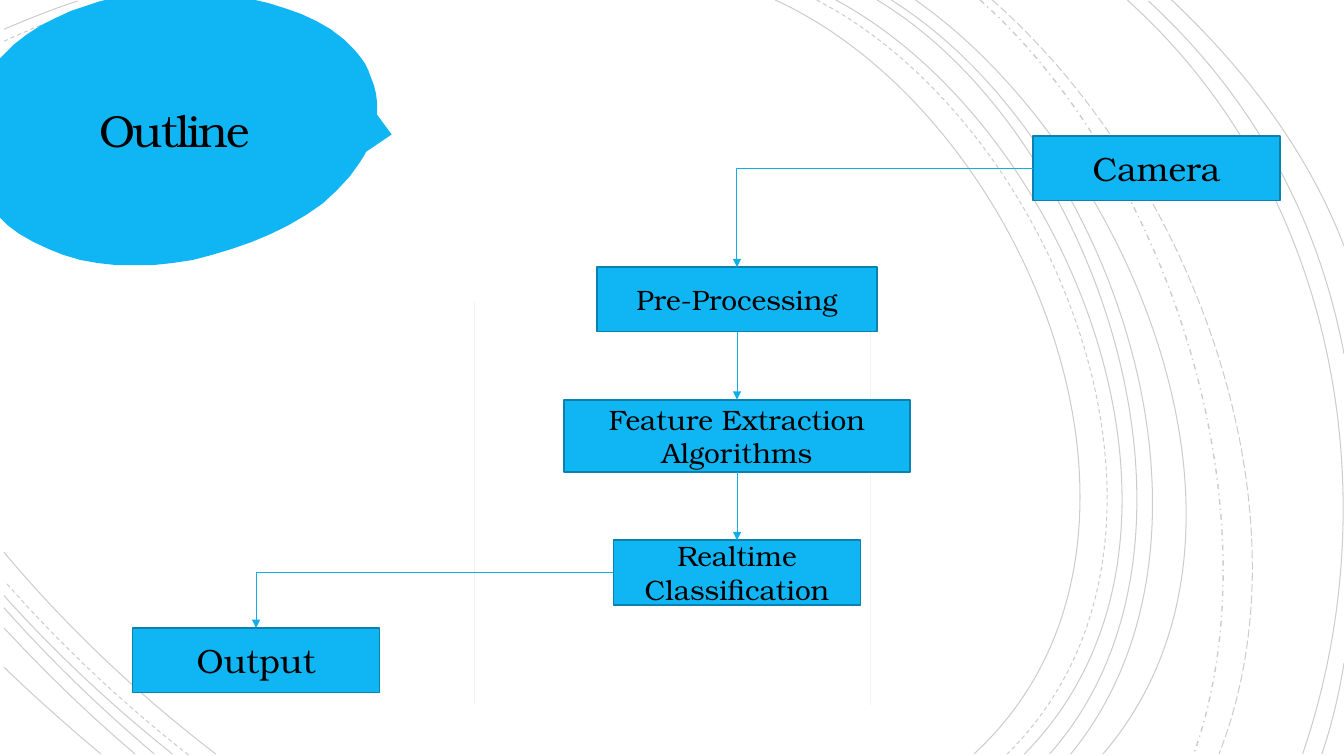
from lxml.etree import SubElement
from pptx import Presentation
from pptx.dml.color import RGBColor
from pptx.enum.dml import MSO_LINE as DASH
from pptx.enum.shapes import MSO_CONNECTOR as CONN, MSO_SHAPE as SHAPE
from pptx.enum.text import MSO_ANCHOR as ANCHOR, PP_ALIGN as ALIGN
from pptx.oxml.ns import qn
from pptx.util import Inches, Pt

# The slide is a grid of one-inch cells
COLS, ROWS = 13.33, 7.5
FONT = "TeX Gyre Bonum"
BLUE, EDGE, ARROW, GUIDE, BLACK = "10B6F4", "0B81AD", "0FAEE9", "F2F2F2", "000000"
TOP, LEFT, BOTTOM, RIGHT = range(4)  # connection sites of a rectangle

# Background arcs: start, two control points, end
SOLID_ARCS = [
    (7.69, 0, 10.2, 1.15, 11.92, 5.4, 9.66, 7.48),
    (0.04, 0.62, 0.57, 0.34, 1.17, 0.16, 1.73, 0.01),
    (2.14, 7.48, 1.38, 6.9, 0.66, 6.22, 0.04, 5.48),
    (8.29, 0, 10.65, 1.27, 12.25, 5.37, 10.16, 7.48),
    (0.04, 0.29, 0.28, 0.19, 0.52, 0.09, 0.77, 0.01),
    (1.71, 7.48, 1.12, 7.01, 0.55, 6.48, 0.04, 5.91),
    (8.7, 0, 10.91, 1.33, 12.25, 5.41, 10.41, 7.48),
    (1.53, 7.48, 1.01, 7.04, 0.5, 6.55, 0.04, 6.03),
    (8.84, 0, 11.04, 1.38, 12.38, 5.33, 10.62, 7.48),
    (1.34, 7.48, 0.88, 7.09, 0.45, 6.67, 0.04, 6.23),
    (9.08, 0, 11.18, 1.47, 12.82, 5.29, 10.94, 7.48),
    (1, 7.48, 0.68, 7.21, 0.35, 6.92, 0.04, 6.62),
    (11.18, 0, 13.24, 1.85, 13.8, 4.9, 12.92, 7.48),
    (11.39, 0.01, 12.42, 0.96, 13.07, 2.14, 13.33, 3.51),
    (13.33, 6.58, 13.28, 6.89, 13.21, 7.19, 13.11, 7.48),
    (11.62, 0, 12.35, 0.69, 12.97, 1.5, 13.33, 2.44),
]
DASHED_ARCS = [
    (8.1, 0, 10.5, 1.25, 12.12, 5.37, 9.99, 7.48),
    (0.04, 0.41, 0.38, 0.25, 0.74, 0.12, 1.1, 0.01),
    (1.87, 7.49, 1.22, 6.98, 0.6, 6.4, 0.05, 5.77),
]
DASH_DOT_ARC = (9.72, 0, 11.59, 1.66, 12.69, 5.09, 11.84, 7.48)
LONG_DASH_ARC = (9.84, 0, 11.77, 1.69, 13.06, 4.99, 12.09, 7.48)

BALLOON = [
    (1.33, 2.63), (1.52, 2.63), (1.71, 2.61), (1.91, 2.58), (2.1, 2.53), (2.3, 2.47),
    (2.5, 2.4), (2.69, 2.32), (2.87, 2.23), (3.04, 2.13), (3.2, 2.02), (3.34, 1.89),
    (3.47, 1.75), (3.52, 1.68), (3.57, 1.61), (3.62, 1.53), (3.65, 1.45), (3.68, 1.37),
    (3.71, 1.28), (3.73, 1.2), (3.74, 1.11), (3.74, 1.02), (3.73, 0.93), (3.71, 0.85),
    (3.68, 0.77), (3.65, 0.69), (3.62, 0.63), (3.57, 0.56), (3.52, 0.5), (3.41, 0.39),
    (3.28, 0.29), (3.14, 0.21), (2.99, 0.14), (2.82, 0.08), (2.66, 0.03), (2.53, 0),
    (1.05, 0), (1, 0.01), (0.85, 0.06), (0.7, 0.11), (0.55, 0.18), (0.41, 0.25),
    (0.27, 0.34), (0.14, 0.44), (0.03, 0.55), (0, 0.58), (0, 2.16), (0.07, 2.23),
    (0.19, 2.32), (0.33, 2.4), (0.48, 2.47), (0.63, 2.53), (0.8, 2.58), (0.97, 2.61),
    (1.15, 2.63),
]


def rgb(code):
    return RGBColor.from_string(code)


def paint(sp, fill=None, line=None, width=0.75):
    sp.shadow.inherit = False
    if fill:
        sp.fill.solid()
        sp.fill.fore_color.rgb = rgb(fill)
    else:
        sp.fill.background()
    if line:
        sp.line.color.rgb = rgb(line)
        sp.line.width = Pt(width)
    else:
        sp.line.fill.background()


def outline(slide, points, close):
    pts = [(Inches(x), Inches(y)) for x, y in points]
    builder = slide.shapes.build_freeform(*pts[0])
    builder.add_line_segments(pts[1:], close=close)
    return builder.convert_to_shape()


def arc(slide, curve, dash=DASH.SOLID, width=0.75):
    sp = outline(slide, zip(curve[::2], curve[1::2]), close=False)
    # Turn the three straight segments into one cubic curve
    track = next(sp.element.iter(qn("a:path")))
    segments = track.findall(qn("a:lnTo"))
    cubic = SubElement(track, qn("a:cubicBezTo"))
    for segment in segments:
        cubic.append(segment[0])
        track.remove(segment)
    paint(sp, line=BLACK, width=width)
    sp.line.dash_style = dash
    color = next(sp.line._get_or_add_ln().iter(qn("a:srgbClr")))
    SubElement(color, qn("a:alpha")).set("val", "20000")


def write(sp, text, size):
    tf = sp.text_frame
    tf.text = text
    tf.word_wrap = True
    tf.vertical_anchor = ANCHOR.MIDDLE
    p = tf.paragraphs[0]
    p.alignment = ALIGN.CENTER
    font = p.runs[0].font
    font.name, font.size, font.color.rgb = FONT, Pt(size), rgb(BLACK)
    return p


def step_box(slide, text, col, row, width, size, height=0.64):
    """Place a flow step by the centre of its box."""
    sp = slide.shapes.add_shape(
        SHAPE.RECTANGLE, Inches(col - width / 2), Inches(row - height / 2),
        Inches(width), Inches(height))
    paint(sp, BLUE, EDGE, 1.25)
    write(sp, text, size)
    return sp


def rule(slide, kind, ends, color, width):
    line = slide.shapes.add_connector(kind, *[Inches(v) for v in ends])
    line.line.color.rgb = rgb(color)
    line.line.width = Pt(width)
    SubElement(line.element.spPr, qn("a:effectLst"))
    return line


def arrow(slide, start, start_site, end, bent=False):
    line = rule(slide, CONN.ELBOW if bent else CONN.STRAIGHT, (0, 0, 0, 0), ARROW, 0.75)
    line.begin_connect(start, start_site)
    line.end_connect(end, TOP)
    if bent:  # a single corner
        line.element.spPr.find(qn("a:prstGeom")).set("prst", "bentConnector2")
    SubElement(line.line._get_or_add_ln(), qn("a:tailEnd")).set("type", "triangle")


def title_balloon(slide):
    tip = slide.shapes.add_shape(SHAPE.ISOSCELES_TRIANGLE, Inches(2.78), Inches(0.89),
                                 Inches(1.46), Inches(0.76))
    tip.rotation = 99.8
    paint(tip, BLUE)
    paint(outline(slide, BALLOON, close=True), BLUE)


def title(slide, text):
    box = slide.shapes.add_textbox(Inches(0.03), Inches(-0.02), Inches(3.4), Inches(2.69))
    p = write(box, text, 32)
    p.line_spacing = 0.85
    p.runs[0].font._element.set("spc", "-150")
    tf = box.text_frame
    tf.margin_left = tf.margin_right = 0
    tf.margin_top = tf.margin_bottom = Inches(0.25)


def main():
    prs = Presentation()
    prs.slide_width, prs.slide_height = Inches(COLS), Inches(ROWS)
    slide = prs.slides.add_slide(prs.slide_layouts[6])

    # Background arcs
    for curve in SOLID_ARCS:
        arc(slide, curve)
    for curve in DASHED_ARCS:
        arc(slide, curve, DASH.DASH)
    arc(slide, DASH_DOT_ARC, DASH.DASH_DOT, 1)
    arc(slide, LONG_DASH_ARC, DASH.LONG_DASH)

    # Title and column guides
    title_balloon(slide)
    for col in (4.7, 8.63):
        rule(slide, CONN.STRAIGHT, (col, 3, col, 6.99), GUIDE, 0.25)
    title(slide, "Outline")

    # Flow steps: the middle three share a column at equal gaps
    middle, first, last = 7.31, 2.97, 5.68
    camera = step_box(slide, "Camera", 11.47, 1.67, 2.45, 24)
    output = step_box(slide, "Output", 2.54, 6.55, 2.45, 24)
    features = step_box(slide, "Feature Extraction Algorithms", middle,
                        (first + last) / 2, 3.43, 20, height=0.72)
    pre = step_box(slide, "Pre-Processing", middle, first, 2.78, 20)
    classify = step_box(slide, "Realtime Classification", middle, last, 2.45, 20)

    # Arrows between the steps
    arrow(slide, camera, LEFT, pre, bent=True)
    arrow(slide, pre, BOTTOM, features)
    arrow(slide, features, BOTTOM, classify)
    arrow(slide, classify, LEFT, output, bent=True)

    prs.save("out.pptx")


if __name__ == "__main__":
    main()
